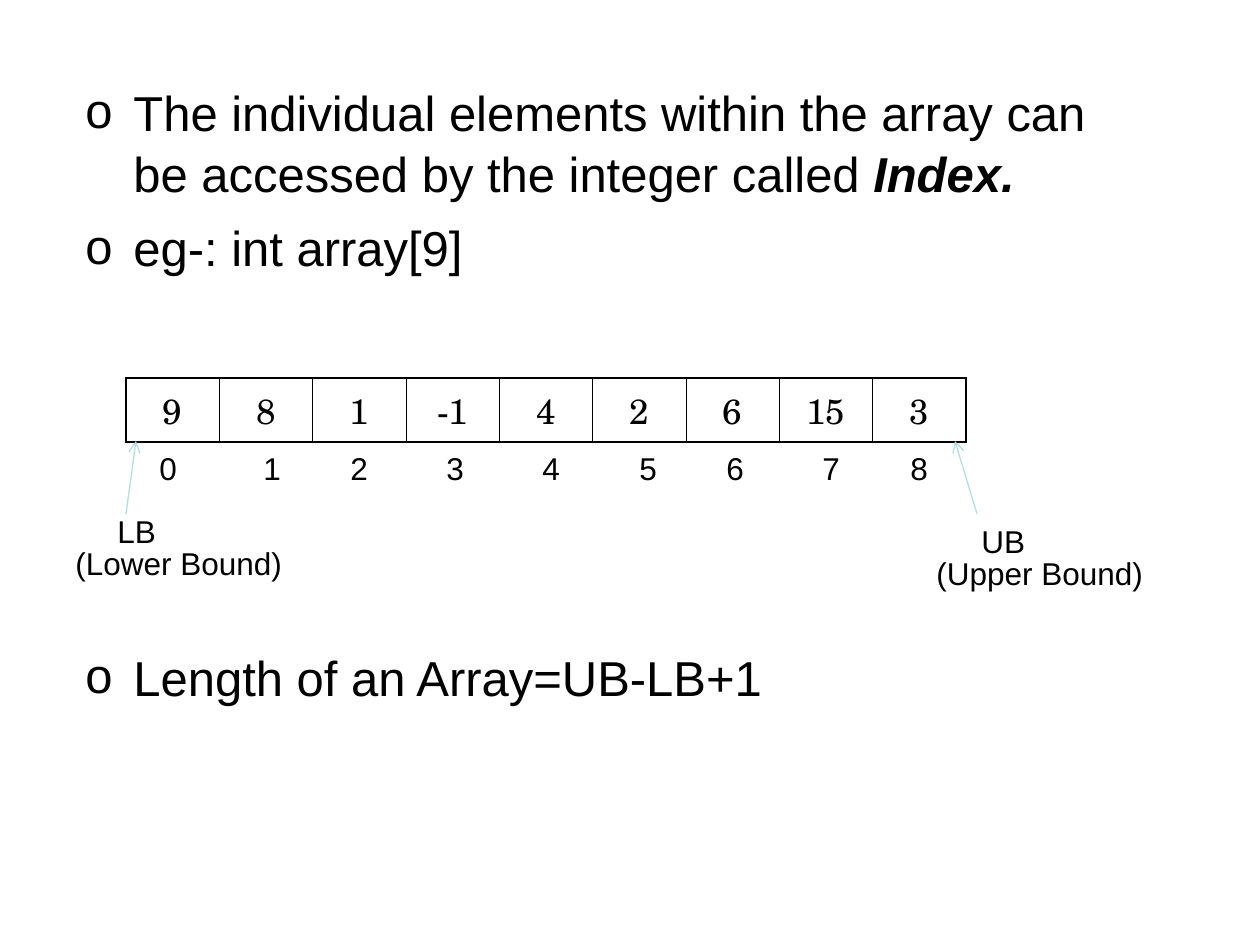
from lxml.etree import SubElement
from pptx import Presentation
from pptx.dml.color import RGBColor
from pptx.enum.shapes import MSO_CONNECTOR
from pptx.enum.text import MSO_ANCHOR, PP_ALIGN
from pptx.oxml.ns import qn
from pptx.util import Emu, Pt

BLACK = RGBColor(0x00, 0x00, 0x00)
WHITE = RGBColor(0xFF, 0xFF, 0xFF)
TEAL = RGBColor(0xB6, 0xDC, 0xDF)
SHADOW = RGBColor(0x80, 0x80, 0x80)


def px(n):
    return Emu(round(n * 914400 / 126))


def add(parent, tag, **attrs):
    return SubElement(parent, qn(tag), {k: str(v) for k, v in attrs.items()})


class ArraySlide:
    """Style and drawing methods for the array indexing slide."""

    font, cell_font = "Arial", "TeX Gyre Schola"
    body_size, label_size, cell_size = 28, 18, 20
    line_spacing = 1.05

    def __init__(self, prs):
        self.s = prs.slides.add_slide(prs.slide_layouts[6])

    def style(self, p, size, font=font):
        for r in p.runs:
            r.font.size = Pt(size)
            r.font.name = font
            r.font.color.rgb = BLACK

    def box(self, x, y, w, h):
        tf = self.s.shapes.add_textbox(px(x), px(y), px(w), px(h)).text_frame
        tf.word_wrap = True
        return tf

    def bullets(self, x, y, w, h, items):
        tf = self.box(x, y, w, h)
        for i, (text, emphasis, before) in enumerate(items):
            p = tf.paragraphs[0] if i == 0 else tf.add_paragraph()
            p.text = text
            if emphasis:
                r = p.add_run()
                r.text = emphasis
                r.font.bold = r.font.italic = True
            self.style(p, self.body_size)
            p.line_spacing = self.line_spacing
            p.space_before = Pt(before)
            pPr = p._p.get_or_add_pPr()
            pPr.set("marL", str(px(48)))
            pPr.set("indent", str(-px(48)))
            add(pPr, "a:buFont", typeface=self.font)
            add(pPr, "a:buChar", char="o")

    def label(self, x, y, w, text):
        p = self.box(x, y, w, 50).paragraphs[0]
        p.text = text
        p.line_spacing = self.line_spacing
        self.style(p, self.label_size)
        return p

    def indices(self, x, y, w, stops):
        p = self.label(x, y, w, "\t".join(str(i) for i in range(len(stops) + 1)))
        tabs = add(p._p.get_or_add_pPr(), "a:tabLst")
        for stop in stops:
            add(tabs, "a:tab", pos=px(stop), algn="l")
        for r in p.runs:
            effects = r.font._element.makeelement(qn("a:effectLst"), {})
            r.font._element.find(qn("a:solidFill")).addnext(effects)
            shadow = add(effects, "a:outerShdw", dist=px(2), dir=2700000)
            add(shadow, "a:srgbClr", val=SHADOW)

    def array(self, x, y, w, h, values):
        n = len(values)
        table = self.s.shapes.add_table(1, n, px(x), px(y), px(w), px(h)).table
        table.first_row = table.horz_banding = False
        for i, value in enumerate(values):
            table.columns[i].width = px(w / n)
            cell = table.cell(0, i)
            cell.text = str(value)
            cell.vertical_anchor = MSO_ANCHOR.TOP
            p = cell.text_frame.paragraphs[0]
            p.alignment = PP_ALIGN.CENTER
            self.style(p, self.cell_size, self.cell_font)
            tcPr = cell._tc.get_or_add_tcPr()
            for side, outer in (("L", i == 0), ("R", i == n - 1), ("T", True), ("B", True)):
                ln = add(tcPr, f"a:ln{side}", w=Pt(1.08 if outer else 0.45))
                add(add(ln, "a:solidFill"), "a:srgbClr", val=BLACK)
            cell.fill.solid()
            cell.fill.fore_color.rgb = WHITE

    def arrow(self, x1, y1, x2, y2):
        sp = self.s.shapes.add_connector(
            MSO_CONNECTOR.STRAIGHT, px(x1), px(y1), px(x2), px(y2))
        sp.line.color.rgb = TEAL
        sp.line.width = Pt(0.75)
        add(sp.line._get_or_add_ln(), "a:tailEnd", type="arrow")
        add(sp._element.spPr, "a:effectLst")


def main():
    prs = Presentation()
    prs.slide_width, prs.slide_height = px(1260), px(945)
    slide = ArraySlide(prs)
    slide.bullets(73, 73, 1029, 672, [
        ("The individual elements within the array can be accessed by the integer called ",
         "Index.", 7),
        ("eg-: int array[9]", "", 7),
        ("Length of an Array=UB-LB+1", "", 210),
    ])
    slide.array(126, 378, 840, 64, [9, 8, 1, -1, 4, 2, 6, 15, 3])
    slide.indices(147, 441, 809, [104, 191, 287, 383, 480, 567, 663, 751])
    slide.arrow(126, 514, 136, 441)
    slide.arrow(977, 514, 955, 441)
    slide.label(63, 536, 252, "(Lower Bound)")
    slide.label(105, 504, 105, "LB")
    slide.label(969, 514, 92, "UB")
    slide.label(924, 546, 262, "(Upper Bound)")
    prs.save("out.pptx")


if __name__ == "__main__":
    main()
